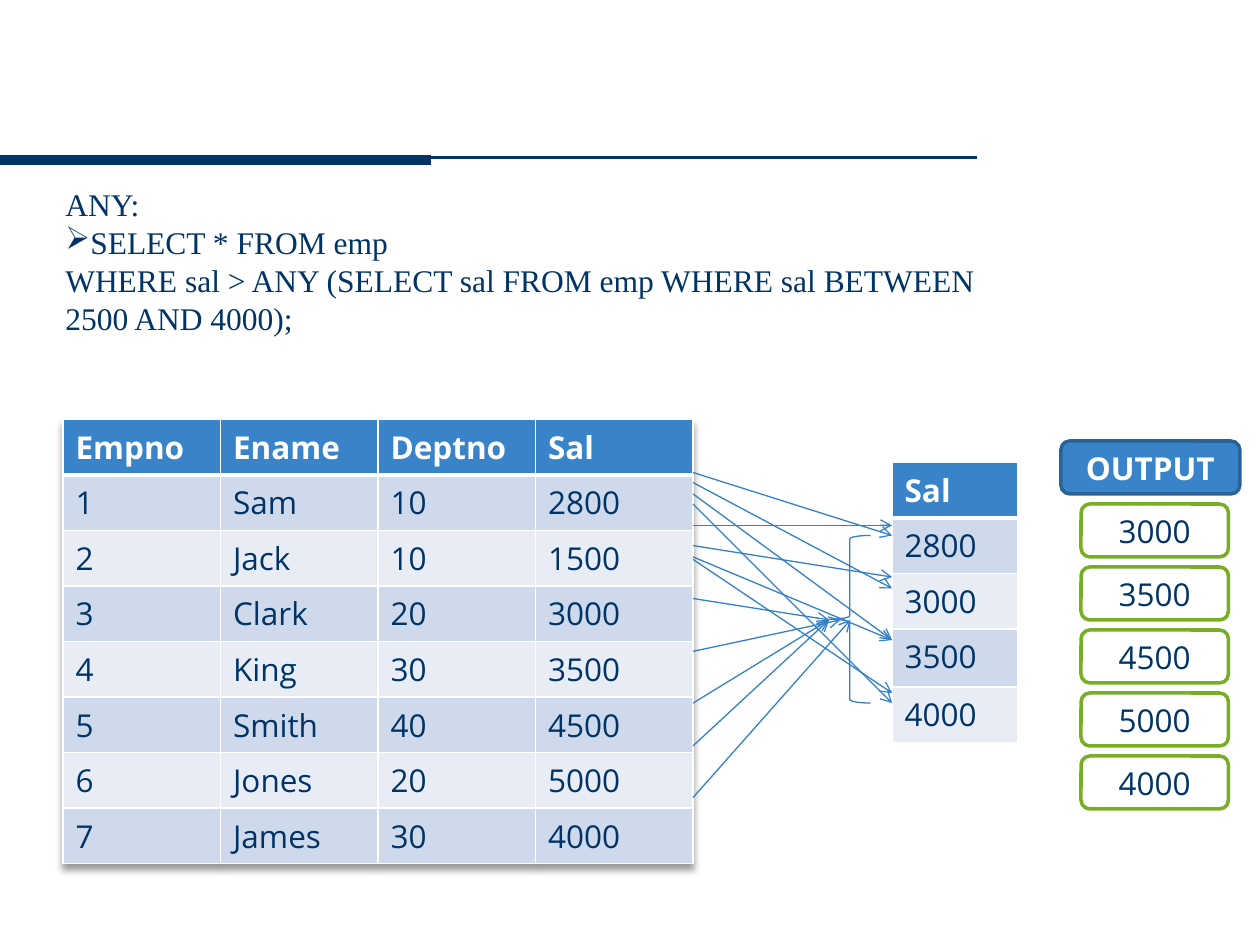
import pptx
import pptx.util
import pptx.dml.color
import pptx.enum.shapes
import pptx.enum.text
import pptx.oxml
import pptx.oxml.ns
from lxml import etree

Inches = pptx.util.Inches
Shapes = pptx.enum.shapes.MSO_SHAPE
qn = pptx.oxml.ns.qn

NAVY, BLUE, WHITE = "003366", "3984C9", "FFFFFF"
ARROW, GREEN, DARK_BLUE = "3481C8", "77AE26", "2A6295"
BANDS = ("CED9EB", "E8EDF5")


def color(value):
    return pptx.dml.color.RGBColor.from_string(value)


def add_xml(parent, tag, **attributes):
    return etree.SubElement(parent, qn(tag), attributes)


class SlideBuilder:
    font = "Open Sans"
    size = 18

    def __init__(self, page):
        self.page = page

    def add_span(self, para, text, ink, bold=False, font=None):
        span = para.add_run()
        span.text = text
        span.font.name = font or self.font
        span.font.size = pptx.util.Pt(self.size)
        span.font.bold = bold
        span.font.color.rgb = color(ink)

    def line(self, start, end, ink, width, arrow=False):
        connector = self.page.shapes.add_connector(
            pptx.enum.shapes.MSO_CONNECTOR.STRAIGHT,
            *(Inches(value) for value in (*start, *end)))
        connector.line.color.rgb = color(ink)
        connector.line.width = pptx.util.Pt(width)
        if arrow:
            outline = connector._element.spPr.find(qn("a:ln"))
            add_xml(outline, "a:tailEnd", type="arrow")
        add_xml(connector._element.spPr, "a:effectLst")

    def shape(self, kind, place, ink, width, fill=None):
        shape = self.page.shapes.add_shape(kind, *map(Inches, place))
        shape.shadow.inherit = False
        shape.line.color.rgb = color(ink)
        shape.line.width = pptx.util.Pt(width)
        if fill:
            shape.fill.solid()
            shape.fill.fore_color.rgb = color(fill)
        else:
            shape.fill.background()
        return shape

    def label(self, text, place, fill, edge, ink, bold=False):
        shape = self.shape(Shapes.ROUNDED_RECTANGLE, place, edge, 2, fill)
        shape.text_frame.vertical_anchor = pptx.enum.text.MSO_ANCHOR.MIDDLE
        para = shape.text_frame.paragraphs[0]
        para.alignment = pptx.enum.text.PP_ALIGN.CENTER
        self.add_span(para, text, ink, bold)

    def text(self, place, lines, font):
        box = self.page.shapes.add_textbox(*map(Inches, place))
        frame = box.text_frame
        frame.word_wrap = True
        frame.auto_size = pptx.enum.text.MSO_AUTO_SIZE.SHAPE_TO_FIT_TEXT
        for index, (text, bullet) in enumerate(lines):
            para = frame.add_paragraph() if index else frame.paragraphs[0]
            if bullet:
                add_xml(para._p.get_or_add_pPr(), "a:buChar", char=bullet)
            self.add_span(para, text, NAVY, font=font)

    def borders(self, cell, header):
        properties = cell._tc.get_or_add_tcPr()
        for side in "LRTB":
            width = 3 if header and side == "B" else 1
            edge = add_xml(properties, "a:ln" + side, w=str(pptx.util.Pt(width)))
            add_xml(add_xml(edge, "a:solidFill"), "a:srgbClr", val=WHITE)

    def table(self, left, top, column_width, heights, rows, shadow=False):
        frame = self.page.shapes.add_table(
            len(rows), len(rows[0]), Inches(left), Inches(top),
            Inches(column_width * len(rows[0])), Inches(sum(heights)))
        table = frame.table
        for row, height in zip(table.rows, heights):
            row.height = Inches(height)
        for r, values in enumerate(rows):
            for c, value in enumerate(values):
                cell = table.cell(r, c)
                self.borders(cell, r == 0)
                cell.fill.solid()
                cell.fill.fore_color.rgb = color(BANDS[(r - 1) % 2] if r else BLUE)
                self.add_span(cell.text_frame.paragraphs[0], value,
                              NAVY if r else WHITE, r == 0)
        if shadow:
            effects = etree.Element(qn("a:effectLst"))
            outer = add_xml(effects, "a:outerShdw", blurRad="50800", dist="38100",
                            dir="5400000", algn="t", rotWithShape="0")
            add_xml(add_xml(outer, "a:srgbClr", val="000000"), "a:alpha", val="40000")
            table._tbl.tblPr.insert(0, effects)


deck = pptx.Presentation()
deck.slide_width, deck.slide_height = Inches(10), Inches(7.5)
builder = SlideBuilder(deck.slides.add_slide(deck.slide_layouts[6]))

builder.line((7.75, 1.25), (0, 1.25), NAVY, 1.5)
builder.line((0, 1.27), (3.42, 1.27), NAVY, 6)

employees = [
    ("Empno", "Ename", "Deptno", "Sal"),
    ("1", "Sam", "10", "2800"),
    ("2", "Jack", "10", "1500"),
    ("3", "Clark", "20", "3000"),
    ("4", "King", "30", "3500"),
    ("5", "Smith", "40", "4500"),
    ("6", "Jones", "20", "5000"),
    ("7", "James", "30", "4000"),
]
builder.table(0.5, 3.33, 1.25, [0.4] * len(employees), employees, shadow=True)
salaries = [("Sal",), ("2800",), ("3000",), ("3500",), ("4000",)]
builder.table(7.08, 3.67, 1, [0.41, 0.41, 0.41, 0.46, 0.41], salaries)

builder.text((0.42, 1.42, 7.92, 1.31), [
    ("ANY:", None),
    ("SELECT * FROM emp", "\u27a2"),
    ("WHERE sal > ANY (SELECT sal FROM emp WHERE sal BETWEEN 2500 AND 4000);", None),
], "Times New Roman")

salary_arrows = [(3.75, 4.25), (3.83, 4.67), (3.92, 5.08), (4, 5.58),
                 (4.17, 4.17), (4.33, 4.58), (4.42, 5.08), (4.44, 5.5)]
for start, end in salary_arrows:
    builder.line((5.5, start), (7.08, end), ARROW, 0.75, arrow=True)

builder.shape(Shapes.LEFT_BRACE, (6.58, 4.25, 0.33, 1.33), ARROW, 0.75)
brace_arrows = [(4.75, 6.58), (5.17, 6.67), (5.58, 6.58), (5.92, 6.58), (6.33, 6.75)]
for start, tip in brace_arrows:
    builder.line((5.5, start), (tip, 4.92), ARROW, 0.75, arrow=True)

builder.label("OUTPUT", (8.42, 3.5, 1.42, 0.42), BLUE, DARK_BLUE, WHITE, bold=True)
for index, value in enumerate(("3000", "3500", "4500", "5000", "4000")):
    builder.label(value, (8.58, 4 + index * 0.5, 1.17, 0.42), WHITE, GREEN, NAVY)

deck.save("out.pptx")
